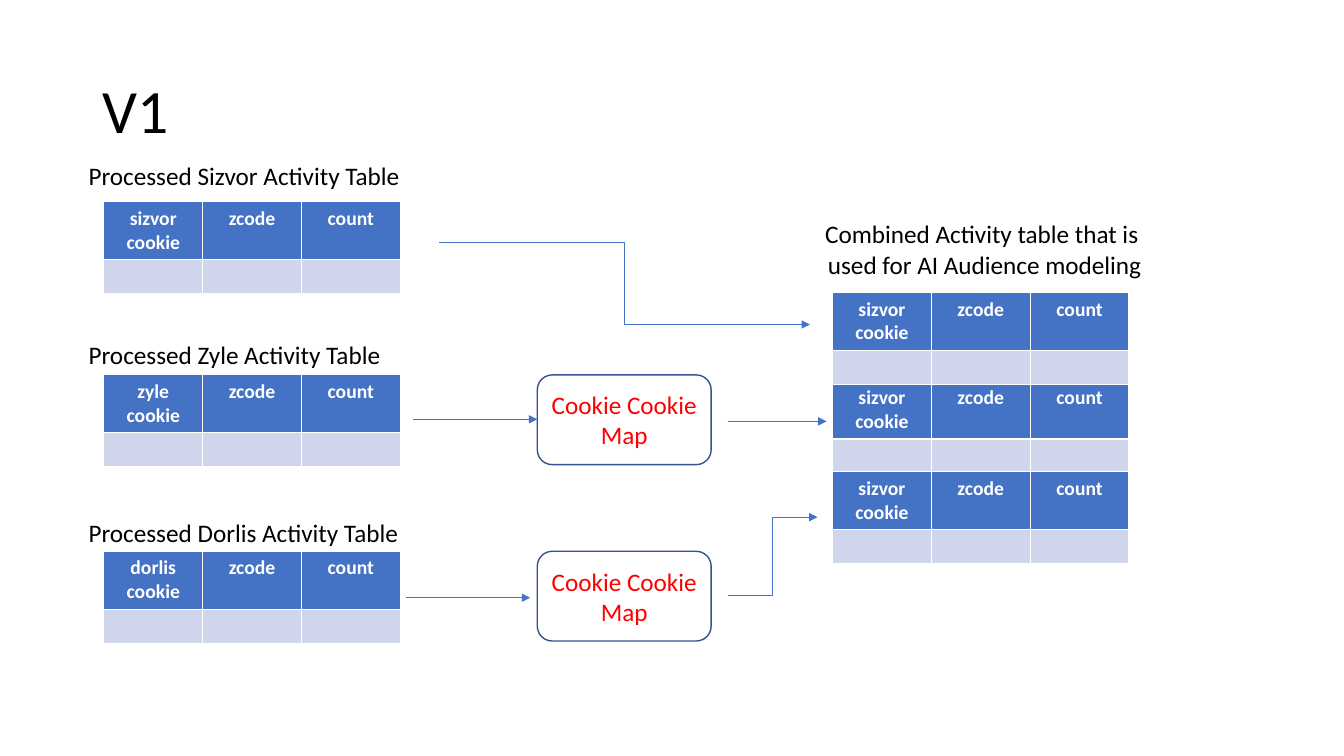
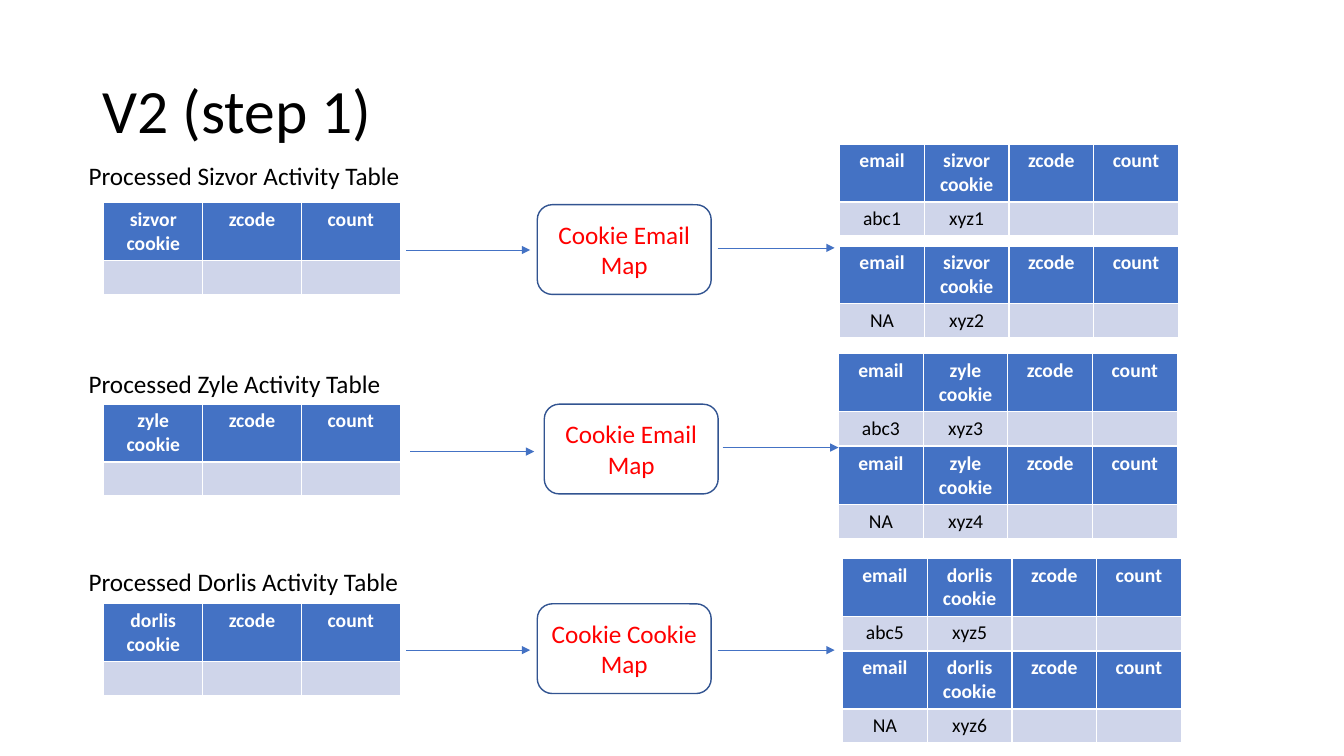
from lxml.etree import SubElement
from pptx import Presentation
from pptx.dml.color import RGBColor
from pptx.enum.shapes import MSO_CONNECTOR, MSO_SHAPE
from pptx.enum.text import MSO_ANCHOR, PP_ALIGN
from pptx.oxml.ns import qn
from pptx.util import Pt

COLORS = {"header": "4472C4", "cell": "CFD5EA", "outline": "325491",
          "white": "FFFFFF", "black": "000000", "red": "FF0000"}
FORMATS = {
    "title": {"size": Pt(44), "bold": False, "color": "black"},
    "label": {"size": Pt(18), "bold": False, "color": "black"},
    "map": {"size": Pt(18), "bold": False, "color": "red"},
    "header": {"size": Pt(14), "bold": True, "color": "white"},
    "cell": {"size": Pt(14), "bold": False, "color": "black"},
}
ROW_HEIGHTS = {"header": 40.6, "cell": 24.2}
LABEL_X, TABLE_X, MAP_X = 56.2, 74.2, 383.8
MAP_W, MAP_H = 124.2, 64.1
COMBINED_X = 594.7
THREE_COLS, FOUR_COLS = 70.56, 60.48
SOURCES = [("Sizvor", 247), ("Zyle", 229), ("Dorlis", 244)]


def write(tf, lines, style, align=PP_ALIGN.LEFT):
    for i, line in enumerate(lines):
        p = tf.paragraphs[0] if i == 0 else tf.add_paragraph()
        p.alignment = align
        if not line:
            SubElement(p._p, qn("a:endParaRPr"), sz=str(int(FORMATS[style]["size"].pt * 100)))
            continue
        r = p.add_run()
        r.text = line
        r.font.name = "Calibri"
        for name, value in FORMATS[style].items():
            if name == "color":
                r.font.color.rgb = RGBColor.from_string(COLORS[value])
            else:
                setattr(r.font, name, value)


def add_grid(s, x, y, col_w, header, values):
    """Two-row table; its default style supplies the white rules."""
    height = sum(ROW_HEIGHTS.values())
    table = s.shapes.add_table(2, len(header), Pt(x), Pt(y),
                               Pt(col_w * len(header)), Pt(height)).table
    for col in table.columns:
        col.width = Pt(col_w)
    for row, (style, row_h), texts in zip(table.rows, ROW_HEIGHTS.items(), (header, values)):
        row.height = Pt(row_h)
        for cell, text in zip(row.cells, texts):
            cell.fill.solid()
            cell.fill.fore_color.rgb = RGBColor.from_string(COLORS[style])
            write(cell.text_frame, [text], style, PP_ALIGN.CENTER)


# Content: arrows are (x1, y1, x2, y2), maps are (x, y, text)
slides = [
    {
        "title": "V1",
        "label_y": [110.9, 239, 365.8],
        "table_y": [144, 267.8, 393.8],
        "maps": [(MAP_X, 267.8, "Cookie Cookie Map"), (MAP_X, 393.8, "Cookie Cookie Map")],
        "arrows": [(313.9, 172.8, 578.5, 231.8), (519.8, 425.5, 583.9, 369.4),
                   (295.2, 299.5, 383.8, 299.5), (290.2, 427, 378.7, 427),
                   (519.8, 301, 590.4, 301)],
        "results": [(COMBINED_X, y, THREE_COLS, ["sizvor cookie", "zcode", "count"], [""] * 3)
                    for y in (272.2, 337, 208.8)],
        "caption": ["Combined Activity table that is ", "used for AI Audience modeling"],
    },
    {
        "title": "V2 (step 1)",
        "label_y": [110.9, 259.2, 401],
        "table_y": [144.7, 288.7, 431.3],
        "maps": [(MAP_X, 146.2, "Cookie Email Map"), (388.8, 288.7, "Cookie Email Map"),
                 (MAP_X, 431.3, "Cookie Cookie Map")],
        "arrows": [(290.2, 178.6, 378.7, 178.6), (512.6, 177.1, 596.2, 177.1),
                   (293, 322.6, 381.6, 322.6), (516.2, 319.7, 599, 319.7),
                   (290.2, 464.4, 378.7, 464.4), (512.6, 464.4, 596.2, 464.4)],
        "results": [(x, y, FOUR_COLS, ["email", f"{source} cookie", "zcode", "count"],
                     [email, f"xyz{n}", "", ""])
                    for x, y, source, email, n in [
                        (599.8, 103, "sizvor", "abc1", 1), (599.8, 175.7, "sizvor", "NA", 2),
                        (599, 252.7, "zyle", "abc3", 3), (599, 319, "zyle", "NA", 4),
                        (601.9, 398.9, "dorlis", "abc5", 5), (601.9, 465.1, "dorlis", "NA", 6)]],
        "caption": [],
    },
]

prs = Presentation()
prs.slide_width, prs.slide_height = Pt(960), Pt(540)

for content in slides:
    s = prs.slides.add_slide(prs.slide_layouts[5])

    # Title
    sp = s.shapes.title
    sp.left, sp.top, sp.width, sp.height = Pt(66.2), Pt(28.8), Pt(828), Pt(104.4)
    tf = sp.text_frame
    tf.vertical_anchor = MSO_ANCHOR.MIDDLE
    write(tf, [content["title"]], "title")
    tf.paragraphs[0].line_spacing = 0.9

    # Source tables and result tables
    for (source, _), y in zip(SOURCES, content["table_y"]):
        add_grid(s, TABLE_X, y, THREE_COLS, [f"{source.lower()} cookie", "zcode", "count"], [""] * 3)
    for result in content["results"]:
        add_grid(s, *result)

    # Mapping boxes
    for x, y, text in content["maps"]:
        sp = s.shapes.add_shape(MSO_SHAPE.ROUNDED_RECTANGLE, Pt(x), Pt(y), Pt(MAP_W), Pt(MAP_H))
        sp.shadow.inherit = False
        sp.fill.background()
        sp.line.color.rgb = RGBColor.from_string(COLORS["outline"])
        sp.line.width = Pt(1)
        tf = sp.text_frame
        tf.word_wrap = True
        tf.margin_left = tf.margin_right = Pt(6)
        tf.vertical_anchor = MSO_ANCHOR.MIDDLE
        write(tf, [text], "map", PP_ALIGN.CENTER)

    # Arrows, bent where the ends differ in height
    for x1, y1, x2, y2 in content["arrows"]:
        kind = MSO_CONNECTOR.STRAIGHT if y1 == y2 else MSO_CONNECTOR.ELBOW
        arrow = s.shapes.add_connector(kind, Pt(x1), Pt(y1), Pt(x2), Pt(y2))
        arrow.line.color.rgb = RGBColor.from_string(COLORS["header"])
        arrow.line.width = Pt(0.5)
        SubElement(arrow.line._get_or_add_ln(), qn("a:tailEnd"), type="triangle")
        SubElement(arrow._element.spPr, qn("a:effectLst"))

    # Labels and caption
    labels = [(LABEL_X, y, w, 28.8, [f"Processed {source} Activity Table"], PP_ALIGN.LEFT)
              for (source, w), y in zip(SOURCES, content["label_y"])]
    if content["caption"]:
        labels.append((581, 152.6, 244.8, 51, content["caption"], PP_ALIGN.CENTER))
    for x, y, w, h, lines, align in labels:
        tf = s.shapes.add_textbox(Pt(x), Pt(y), Pt(w), Pt(h)).text_frame
        tf.word_wrap = True
        write(tf, lines, "label", align)

prs.save("out.pptx")
